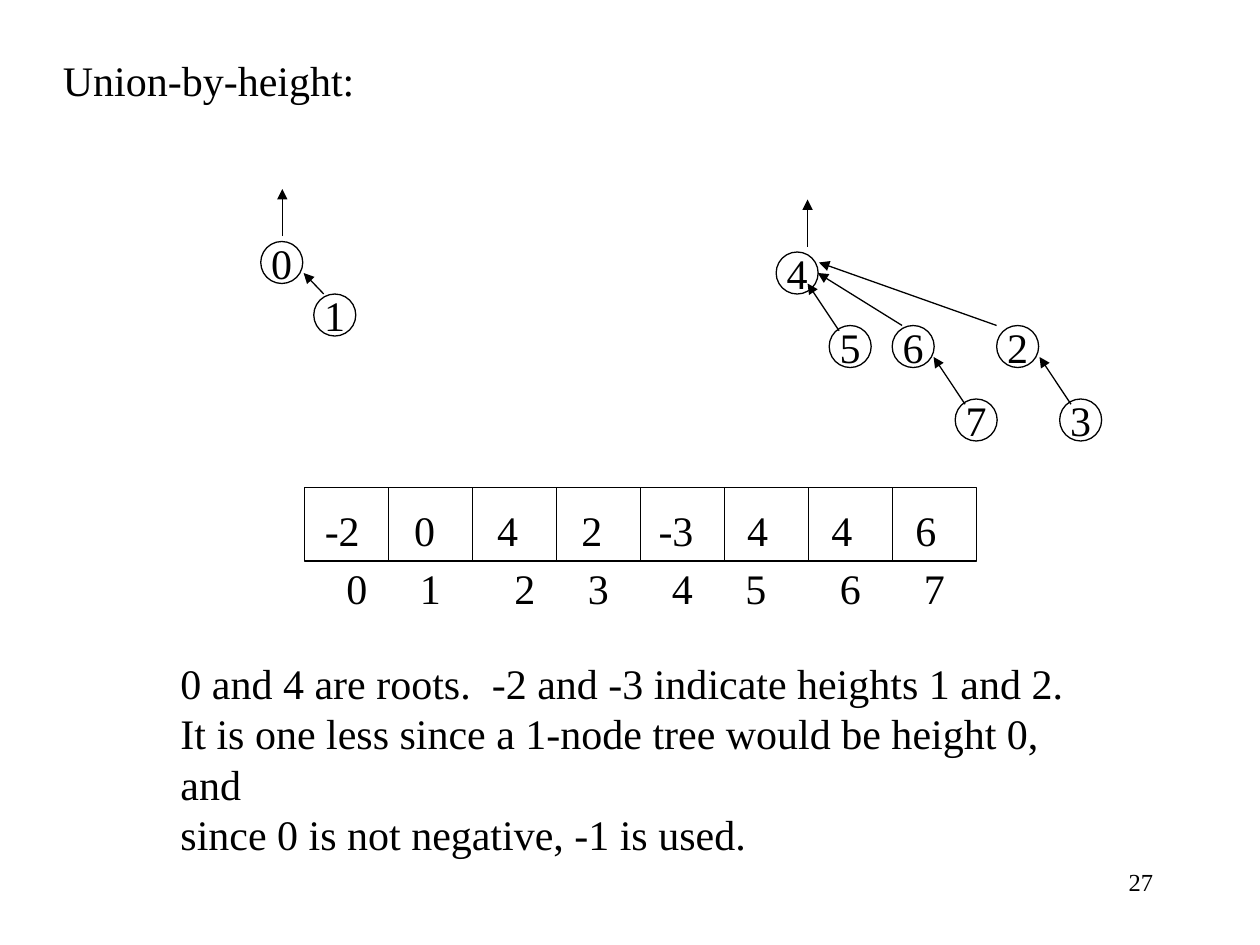
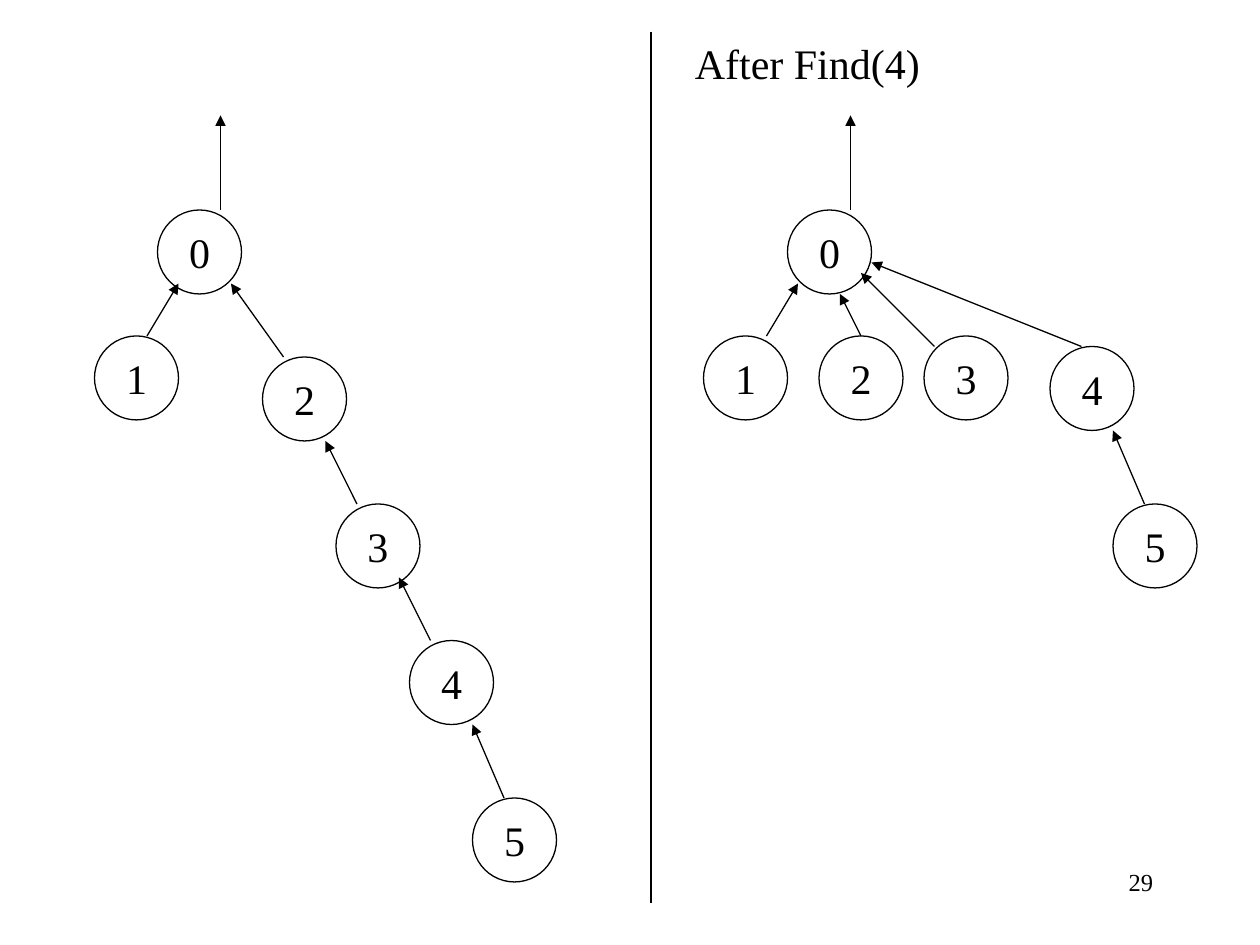
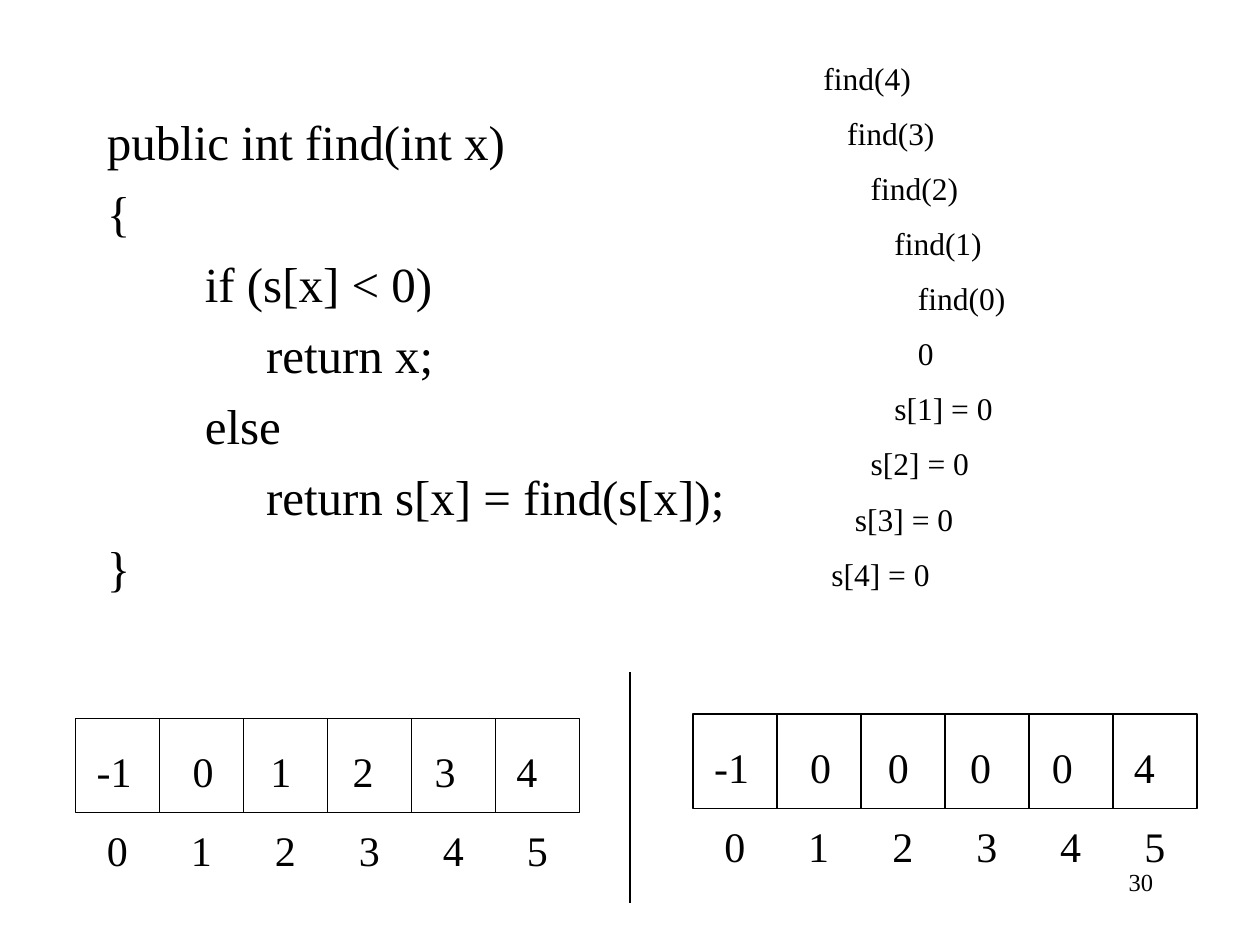
from lxml import etree
from pptx import Presentation
from pptx.dml.color import RGBColor
from pptx.enum import shapes, text
from pptx.oxml.ns import qn
from pptx.util import Pt

BLACK = RGBColor(0, 0, 0)
WHITE = RGBColor(255, 255, 255)
FONT = "Times New Roman"
BODY, CODE, TRACE, NUMBER = 24, 28, 18, 14
LINE = 0.75
CELL = 48
INSET = 7.2

HEIGHT_NODES = [
    ("0", 149, 138), ("1", 179.3, 168), ("4", 443.5, 144), ("5", 473.8, 186),
    ("6", 509.8, 186), ("7", 545.8, 228), ("2", 569.5, 186), ("3", 605.5, 228),
]
HEIGHT_LINKS = [
    (161.3, 135, 161.3, 108), (185, 168, 173.5, 156),
    (461.5, 141, 461.5, 114), (479.5, 189, 461.5, 162),
    (515.5, 186, 467.3, 156), (569.5, 186, 468, 150),
    (551.5, 231, 533.5, 204), (612, 231, 594, 204),
]
HEIGHT_ARRAY = {
    "left": 174, "top": 278.6, "height": 42, "value_drop": 6, "index_drop": 39.6,
    "values": ["-2", "0", "4", "2", "-3", "4", "4", "6"],
    "value_offsets": [4.5, 55.5, 103, 151.2, 195.2, 245.8, 294, 342],
    "index_offsets": [24, 66, 120, 162, 210, 252, 306, 354],
}
HEIGHT_NOTE = [
    "0 and 4 are roots.  -2 and -3 indicate heights 1 and 2.",
    "It is one less since a 1-node tree would be height 0, and",
    "since 0 is not negative, -1 is used.",
]

BEFORE_NODES = [
    ("0", 90, 120), ("1", 54, 192), ("2", 150, 204),
    ("3", 192, 288), ("4", 234, 366), ("5", 270, 456),
]
BEFORE_LINKS = [
    (126, 120, 126, 66), (84, 192, 102, 162), (162, 204, 132, 162),
    (204, 288, 186, 252), (246, 366, 228, 330), (288, 456, 270, 414),
]
AFTER_NODES = [
    ("0", 450, 120), ("1", 402, 192), ("2", 468, 192),
    ("3", 528, 192), ("4", 600, 198), ("5", 636, 288),
]
AFTER_LINKS = [
    (486, 120, 486, 66), (438, 192, 456, 162), (492, 192, 480, 168),
    (534, 198, 492, 156), (618, 198, 498, 150), (654, 288, 636, 246),
]

FIND_CODE = [
    ("public int find(int x)", 0), ("{", 0), ("if (s[x] < 0)", 56),
    ("return x;", 91), ("else", 56), ("return s[x] = find(s[x]);", 91), ("}", 0),
]
FIND_TRACE = [
    ("find(4)", 13.5), ("find(3)", 27), ("find(2)", 40.5), ("find(1)", 54),
    ("find(0)", 67.5), ("0", 67.5), ("s[1] = 0", 54), ("s[2] = 0", 40.5),
    ("s[3] = 0", 31.5), ("s[4] = 0", 18),
]
FIND_ARRAY = {
    "height": 54, "value_drop": 12, "index_drop": 57.2,
    "value_offsets": [5, 59.8, 104.2, 151.2, 198, 244.8],
    "index_offsets": [18 + CELL * i for i in range(6)],
}
BEFORE_ARRAY = {**FIND_ARRAY, "left": 43.2, "top": 410.4,
                "values": ["-1", "0", "1", "2", "3", "4"]}
AFTER_ARRAY = {**FIND_ARRAY, "left": 396, "top": 408,
               "values": ["-1", "0", "0", "0", "0", "4"]}


def style(paragraph, size, align=text.PP_ALIGN.LEFT):
    paragraph.alignment = align
    paragraph.font.name = FONT
    paragraph.font.size = Pt(size)
    paragraph.font.color.rgb = BLACK


def write(slide, lines, left, top, width, height=36, size=BODY, gap=0,
          align=text.PP_ALIGN.LEFT):
    frame = slide.shapes.add_textbox(Pt(left), Pt(top), Pt(width), Pt(height)).text_frame
    frame.word_wrap = True
    for i, (words, indent) in enumerate(lines):
        paragraph = frame.add_paragraph() if i else frame.paragraphs[0]
        paragraph.text = words
        style(paragraph, size, align)
        paragraph.space_after = Pt(gap)
        if indent:
            paragraph._p.get_or_add_pPr().set("marL", str(Pt(indent)))
    return frame


def outline(slide, preset, left, top, width, height):
    shape = slide.shapes.add_shape(preset, Pt(left), Pt(top), Pt(width), Pt(height))
    shape.shadow.inherit = False
    shape.fill.background()
    shape.line.color.rgb = BLACK
    shape.line.width = Pt(LINE)
    return shape


def draw_line(slide, ends, arrow=False):
    line = slide.shapes.add_connector(shapes.MSO_CONNECTOR.STRAIGHT, *map(Pt, ends))
    line.line.color.rgb = BLACK
    line.line.width = Pt(LINE)
    if arrow:
        etree.SubElement(line.line._get_or_add_ln(), qn("a:tailEnd"), type="triangle")
    etree.SubElement(line._element.spPr, qn("a:effectLst"))


def draw_tree(slide, nodes, links, diameter):
    for label, left, top in nodes:
        node = outline(slide, shapes.MSO_SHAPE.OVAL, left, top, diameter, diameter)
        frame = node.text_frame
        frame.word_wrap = False
        frame.vertical_anchor = text.MSO_ANCHOR.MIDDLE
        frame.text = label
        style(frame.paragraphs[0], BODY, text.PP_ALIGN.CENTER)
    for ends in links:
        draw_line(slide, ends, arrow=True)


def draw_array(slide, array):
    left, top, height = array["left"], array["top"], array["height"]
    values = array["values"]
    width = CELL * len(values)
    outline(slide, shapes.MSO_SHAPE.RECTANGLE, left, top, width, height)
    for i in range(1, len(values)):
        x = left + CELL * i
        draw_line(slide, (x, top, x, top + height))
    for value, offset in zip(values, array["value_offsets"]):
        write(slide, [(value, 0)], left + offset, top + array["value_drop"], 40)
    indexes = "".join(f"\t{i}" for i in range(len(values)))
    frame = write(slide, [(indexes, 0)], left - INSET, top + array["index_drop"],
                  width + 2 * INSET)
    stops = etree.SubElement(frame.paragraphs[0]._p.get_or_add_pPr(), qn("a:tabLst"))
    for offset in array["index_offsets"]:
        etree.SubElement(stops, qn("a:tab"), pos=str(Pt(offset)), algn="l")


def new_slide(deck, number):
    slide = deck.slides.add_slide(deck.slide_layouts[6])
    slide.background.fill.solid()
    slide.background.fill.fore_color.rgb = WHITE
    write(slide, [(number, 0)], 516, 492, 150, size=NUMBER, align=text.PP_ALIGN.RIGHT)
    return slide


def main():
    deck = Presentation()
    deck.slide_width, deck.slide_height = Pt(720), Pt(540)

    by_height = new_slide(deck, "27")
    write(by_height, [("Union-by-height:", 0)], 28.8, 27.4, 200)
    draw_tree(by_height, HEIGHT_NODES, HEIGHT_LINKS, 24)
    draw_array(by_height, HEIGHT_ARRAY)
    write(by_height, [(line, 0) for line in HEIGHT_NOTE], 96, 372, 530, 120)

    compression = new_slide(deck, "29")
    write(compression, [("After Find(4)", 0)], 390, 18, 160)
    draw_line(compression, (372, 18, 372, 516))
    draw_tree(compression, BEFORE_NODES, BEFORE_LINKS, 48)
    draw_tree(compression, AFTER_NODES, AFTER_LINKS, 48)

    find = new_slide(deck, "30")
    write(find, FIND_CODE, 54, 60, 612, 432, CODE, gap=7)
    write(find, FIND_TRACE, 450, 30, 246, 321, TRACE, gap=9.9)
    draw_array(find, BEFORE_ARRAY)
    draw_array(find, AFTER_ARRAY)
    draw_line(find, (360, 384, 360, 516))

    deck.save("out.pptx")


if __name__ == "__main__":
    main()
